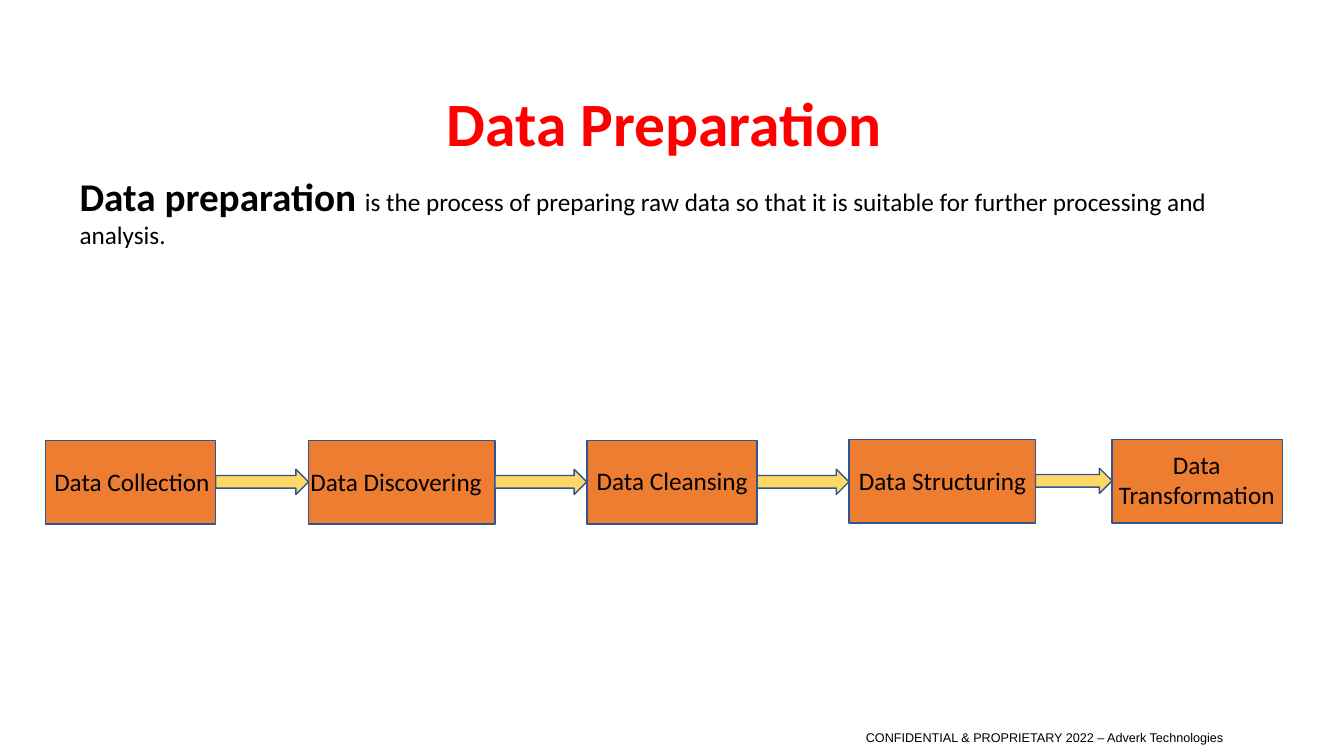
from pptx import Presentation
from pptx.dml.color import RGBColor
from pptx.enum import shapes, text
from pptx.util import Inches, Pt

COLORS = {"box": "ED7D31", "arrow": "FFD966", "outline": "325491",
          "title": "FF0000", "text": "000000"}


def add_block(kind, x, y, w, h, fill):
    sp = s.shapes.add_shape(kind, Inches(x), Inches(y), Inches(w), Inches(h))
    sp.shadow.inherit = False
    sp.fill.solid()
    sp.fill.fore_color.rgb = RGBColor.from_string(COLORS[fill])
    sp.line.color.rgb = RGBColor.from_string(COLORS["outline"])
    sp.line.width = Pt(1)


def write_text(sp, runs, color="text", align=text.PP_ALIGN.LEFT,
               anchor=text.MSO_ANCHOR.TOP):
    tf = sp.text_frame
    frame_format = {"word_wrap": True, "auto_size": text.MSO_AUTO_SIZE.NONE,
                    "vertical_anchor": anchor}
    for name, value in frame_format.items():
        setattr(tf, name, value)
    p = tf.paragraphs[0]
    p.alignment = align
    for words, font_format in runs:
        r = p.add_run()
        r.text = words
        for name, value in font_format.items():
            setattr(r.font, name, value)
        r.font.color.rgb = RGBColor.from_string(COLORS[color])


prs = Presentation()
prs.slide_width, prs.slide_height = Inches(13.33), Inches(7.5)
s = prs.slides.add_slide(prs.slide_layouts[5])

BODY = {"name": "Calibri", "size": Pt(18), "bold": False}
LEAD = {"name": "Calibri", "size": Pt(28), "bold": True}
HEADING = {"name": "Calibri", "size": Pt(44), "bold": True}
FOOTER = {"name": "Arial", "size": Pt(9)}

title = s.shapes.title
title.left, title.top = Inches(4.33), Inches(0.79)
title.width, title.height = Inches(4.67), Inches(0.84)
write_text(title, [("Data Preparation", HEADING)], "title")

intro = s.shapes.add_textbox(Inches(0.69), Inches(1.66), Inches(12.19), Inches(0.57))
write_text(intro, [
    ("Data preparation ", LEAD),
    ("is the process of preparing raw data so that it is suitable for "
     "further processing and analysis.", BODY),
])

LEFT, CENTER = text.PP_ALIGN.LEFT, text.PP_ALIGN.CENTER
steps = [
    ("Data Collection", 0.45, 4.37, 1.69, 0.44, 4.58, 0.4, LEFT),
    ("Data Discovering", 3.06, 4.37, 1.85, 2.98, 4.58, 0.4, LEFT),
    ("Data Cleansing", 5.82, 4.37, 1.69, 5.82, 4.57, 0.4, LEFT),
    ("Data Structuring", 8.42, 4.36, 1.85, 8.42, 4.57, 0.4, LEFT),
    ("Data Transformation", 11.03, 4.36, 1.69, 10.87, 4.41, 0.71, CENTER),
]
for label, x, y, w, label_x, label_y, label_h, align in steps:
    add_block(shapes.MSO_SHAPE.RECTANGLE, x, y, w, 0.83, "box")

for step, following in zip(steps, steps[1:]):
    start = step[1] + step[3]
    add_block(shapes.MSO_SHAPE.RIGHT_ARROW, start, step[2] + 0.285,
              following[1] - start, 0.25, "arrow")

for label, x, y, w, label_x, label_y, label_h, align in steps:
    box = s.shapes.add_textbox(Inches(label_x), Inches(label_y), Inches(2), Inches(label_h))
    write_text(box, [(label, BODY)], align=align)

footer = s.shapes.add_textbox(Inches(8.33), Inches(7.2), Inches(4.06), Inches(0.24))
write_text(footer, [("CONFIDENTIAL & PROPRIETARY 2022 – Adverk Technologies", FOOTER)],
           align=CENTER, anchor=text.MSO_ANCHOR.MIDDLE)

prs.save("out.pptx")
